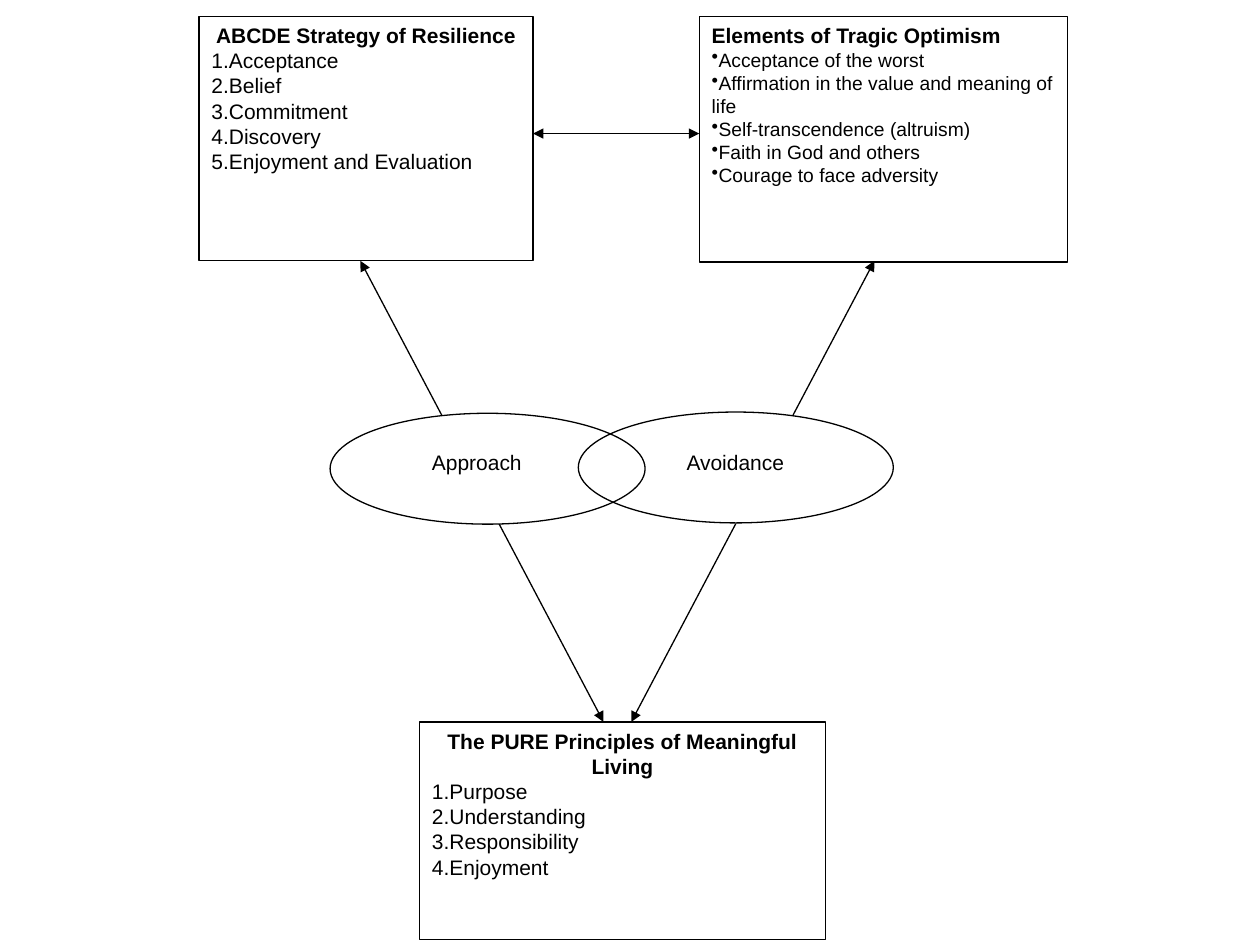
from pptx import Presentation
from pptx.dml.color import RGBColor
from pptx.enum.shapes import MSO_CONNECTOR, MSO_SHAPE
from pptx.enum.text import MSO_ANCHOR, PP_ALIGN
from pptx.oxml.ns import qn
from pptx.util import Inches, Pt
from lxml.etree import SubElement

COLORS = {"ink": "000000", "paper": "FFFFFF"}
FONT = "Arial"
WIDTH, HEIGHT = Inches(10), Inches(7.5)
COLUMNS, ROWS = 100, 75
LINE = 0.75


def across(columns):
    return round(WIDTH * columns / COLUMNS)


def down(rows):
    return round(HEIGHT * rows / ROWS)


def place(left, top, width, height):
    return across(left), down(top), across(width), down(height)


def color(name):
    return RGBColor.from_string(COLORS[name])


def style_text(para, size=12, bold=False):
    para.font.size = Pt(size)
    para.font.bold = bold
    para.font.name = FONT
    para.font.color.rgb = color("ink")


def add_outline_shape(slide, kind, area, fill="paper", line="ink"):
    shape = slide.shapes.add_shape(kind, *place(*area))
    shape.shadow.inherit = False
    if fill:
        shape.fill.solid()
        shape.fill.fore_color.rgb = color(fill)
    else:
        shape.fill.background()
    shape.line.color.rgb = color(line)
    shape.line.width = Pt(LINE)
    return shape


def add_list_box(slide, area, heading, items, numbered=True,
                 heading_align=PP_ALIGN.CENTER, size=12):
    """Draw a framed box with a bold heading above a list."""
    box = add_outline_shape(slide, MSO_SHAPE.RECTANGLE, area)
    frame = box.text_frame
    frame.word_wrap = True
    frame.vertical_anchor = MSO_ANCHOR.TOP
    title = frame.paragraphs[0]
    title.text = heading
    title.alignment = heading_align
    style_text(title, bold=True)
    for item in items:
        para = frame.add_paragraph()
        para.text = item
        para.alignment = PP_ALIGN.LEFT
        properties = para._p.get_or_add_pPr()
        if numbered:
            SubElement(properties, qn("a:buAutoNum"), type="arabicPeriod")
        else:
            SubElement(properties, qn("a:buChar"), char="•")
        style_text(para, size)


def add_double_arrow(slide, start, end):
    arrow = slide.shapes.add_connector(
        MSO_CONNECTOR.STRAIGHT,
        across(start[0]), down(start[1]), across(end[0]), down(end[1]))
    arrow.line.color.rgb = color("ink")
    arrow.line.width = Pt(LINE)
    line = arrow.line._get_or_add_ln()
    for tag in ("a:headEnd", "a:tailEnd"):
        SubElement(line, qn(tag), type="triangle")
    SubElement(arrow._element.spPr, qn("a:effectLst"))


def add_label(slide, area, text):
    label = slide.shapes.add_textbox(*place(*area))
    label.text_frame.word_wrap = True
    para = label.text_frame.paragraphs[0]
    para.text = text
    style_text(para)


def main():
    deck = Presentation()
    deck.slide_width, deck.slide_height = WIDTH, HEIGHT
    slide = deck.slides.add_slide(deck.slide_layouts[6])

    strategy = (15.8, 1.3, 26.5, 19.4)
    optimism = (55.5, 1.3, 29.2, 19.5)
    principles = (33.3, 57.3, 32.2, 17.3)
    approach = (26.2, 32.8, 25, 8.8)
    avoidance = (45.9, 32.7, 25, 8.8)

    top_row_bottom = strategy[1] + strategy[3]
    add_double_arrow(slide, (28.6, top_row_bottom), (47.9, principles[1]))
    add_double_arrow(slide, (69.4, top_row_bottom), (50.1, principles[1]))

    add_list_box(slide, principles, "The PURE Principles of Meaningful Living",
                 ["Purpose", "Understanding", "Responsibility", "Enjoyment"])
    add_list_box(slide, strategy, "ABCDE Strategy of Resilience",
                 ["Acceptance", "Belief", "Commitment", "Discovery",
                  "Enjoyment and Evaluation"])
    add_list_box(slide, optimism, "Elements of Tragic Optimism",
                 ["Acceptance of the worst",
                  "Affirmation in the value and meaning of life",
                  "Self-transcendence (altruism)",
                  "Faith in God and others",
                  "Courage to face adversity"],
                 numbered=False, heading_align=PP_ALIGN.LEFT, size=11)
    add_double_arrow(slide, (strategy[0] + strategy[2], 10.6),
                     (optimism[0], 10.6))

    # A white backing hides the arrow; the outline on top shows the overlap.
    add_outline_shape(slide, MSO_SHAPE.OVAL, avoidance, line="paper")
    add_outline_shape(slide, MSO_SHAPE.OVAL, approach)
    add_outline_shape(slide, MSO_SHAPE.OVAL, avoidance, fill=None)
    add_label(slide, (33.3, 35.2, 12.6, 3.8), "Approach")
    add_label(slide, (53.5, 35.2, 11.5, 3.8), "Avoidance")

    deck.save("out.pptx")


if __name__ == "__main__":
    main()
